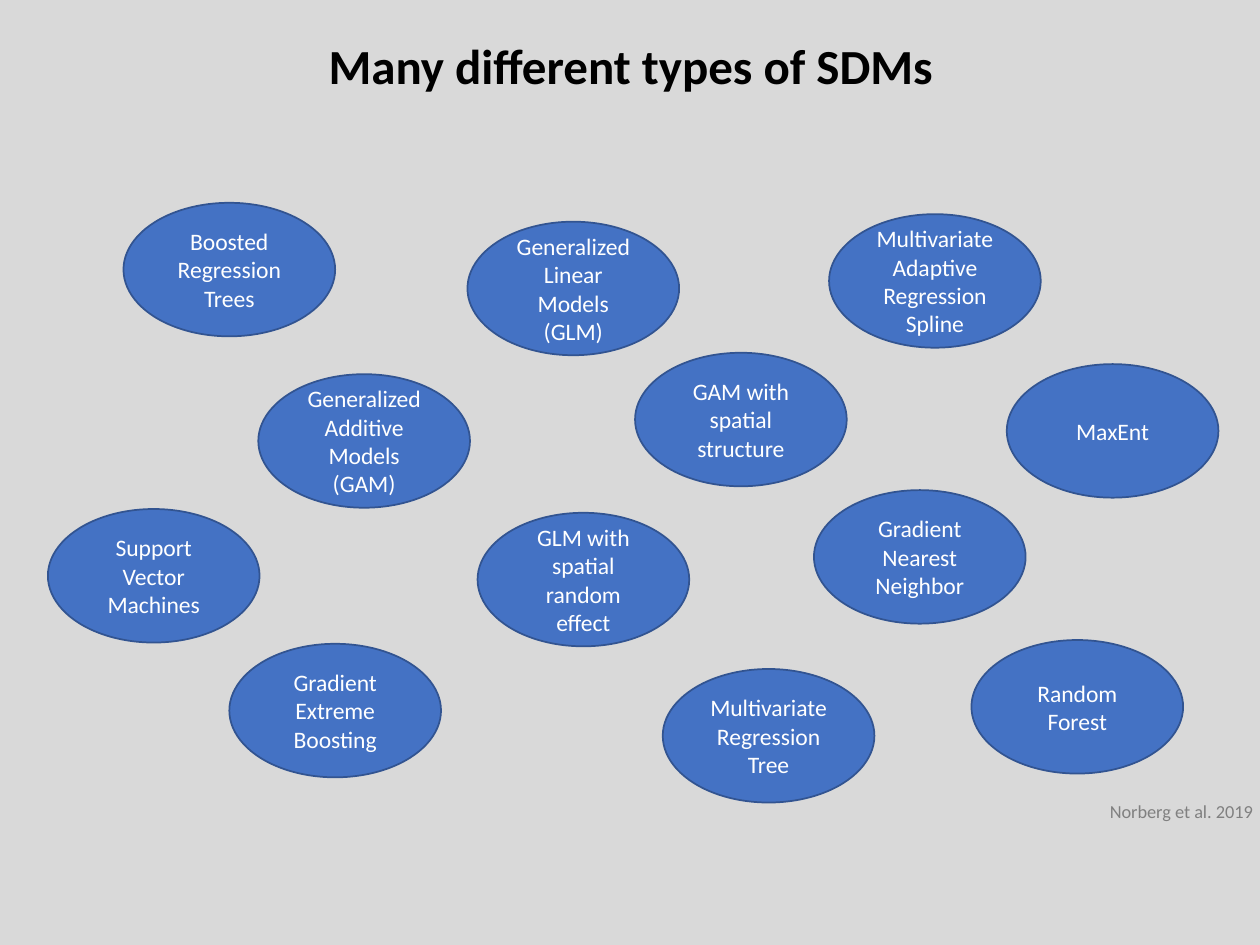
from dataclasses import dataclass

from lxml import etree
from pptx import Presentation
from pptx.dml.color import RGBColor
from pptx.enum import shapes, text
from pptx.util import Inches, Pt


@dataclass(frozen=True)
class Theme:
    font: str = "Calibri"
    background: str = "D9D9D9"
    oval: str = "4472C4"
    outline: str = "325491"
    label: str = "FFFFFF"
    heading: str = "000000"
    muted: str = "808080"
    heading_size: float = 28
    label_size: float = 13.5
    citation_size: float = 10.5


THEME = Theme()
OVAL_SIZE = (1.68, 1.06)
MODELS = [
    ("Boosted Regression Trees", 0.98, 1.61),
    ("Generalized Additive Models (GAM)", 2.05, 2.97),
    ("GAM with spatial structure", 5.04, 2.8),
    ("Generalized Linear Models (GLM)", 3.71, 1.76),
    ("GLM with spatial random effect", 3.79, 4.07),
    ("Gradient Nearest Neighbor", 6.46, 3.89),
    ("Multivariate Adaptive Regression Spline", 6.58, 1.7),
    ("Multivariate Regression Tree", 5.26, 5.31),
    ("Random Forest", 7.71, 5.08),
    ("Support Vector Machines", 0.38, 4.04),
    ("Gradient Extreme Boosting", 1.82, 5.11),
    ("MaxEnt", 7.99, 2.89),
]
CENTER = text.PP_ALIGN.CENTER
LEFT = text.PP_ALIGN.LEFT
CAPTIONS = [
    ("Norberg et al. 2019", (8.71, 6.3, 1.36, 0.28),
     THEME.citation_size, THEME.muted, False, LEFT),
    ("Many different types of SDMs", (2.47, 0.23, 5.07, 0.57),
     THEME.heading_size, THEME.heading, True, CENTER),
]


def rgb(value):
    return RGBColor.from_string(value)


def write(frame, wording, size, color, bold=False, align=CENTER):
    paragraph = frame.paragraphs[0]
    paragraph.alignment = align
    run = paragraph.add_run()
    run.text = wording
    run.font.name = THEME.font
    run.font.size = Pt(size)
    run.font.bold = bold
    run.font.color.rgb = rgb(color)


def add_model(slide, name, left, top):
    oval = slide.shapes.add_shape(
        shapes.MSO_SHAPE.OVAL, *map(Inches, (left, top, *OVAL_SIZE)))
    oval.shadow.inherit = False
    oval.fill.solid()
    oval.fill.fore_color.rgb = rgb(THEME.oval)
    oval.line.color.rgb = rgb(THEME.outline)
    oval.line.width = Pt(1)
    oval.text_frame.word_wrap = True
    oval.text_frame.vertical_anchor = text.MSO_ANCHOR.MIDDLE
    write(oval.text_frame, name, THEME.label_size, THEME.label)


def add_caption(slide, wording, place, size, color, bold, align):
    frame = slide.shapes.add_textbox(*map(Inches, place)).text_frame
    frame.word_wrap = False
    frame.auto_size = text.MSO_AUTO_SIZE.SHAPE_TO_FIT_TEXT
    write(frame, wording, size, color, bold, align)


def main():
    deck = Presentation()
    deck.slide_width, deck.slide_height = Inches(10), Inches(7.5)
    slide = deck.slides.add_slide(deck.slide_layouts[6])
    slide.background.fill.solid()
    slide.background.fill.fore_color.rgb = rgb(THEME.background)
    for model in MODELS:
        add_model(slide, *model)
    for caption in CAPTIONS:
        add_caption(slide, *caption)
    deck.save("out.pptx")


if __name__ == "__main__":
    main()
